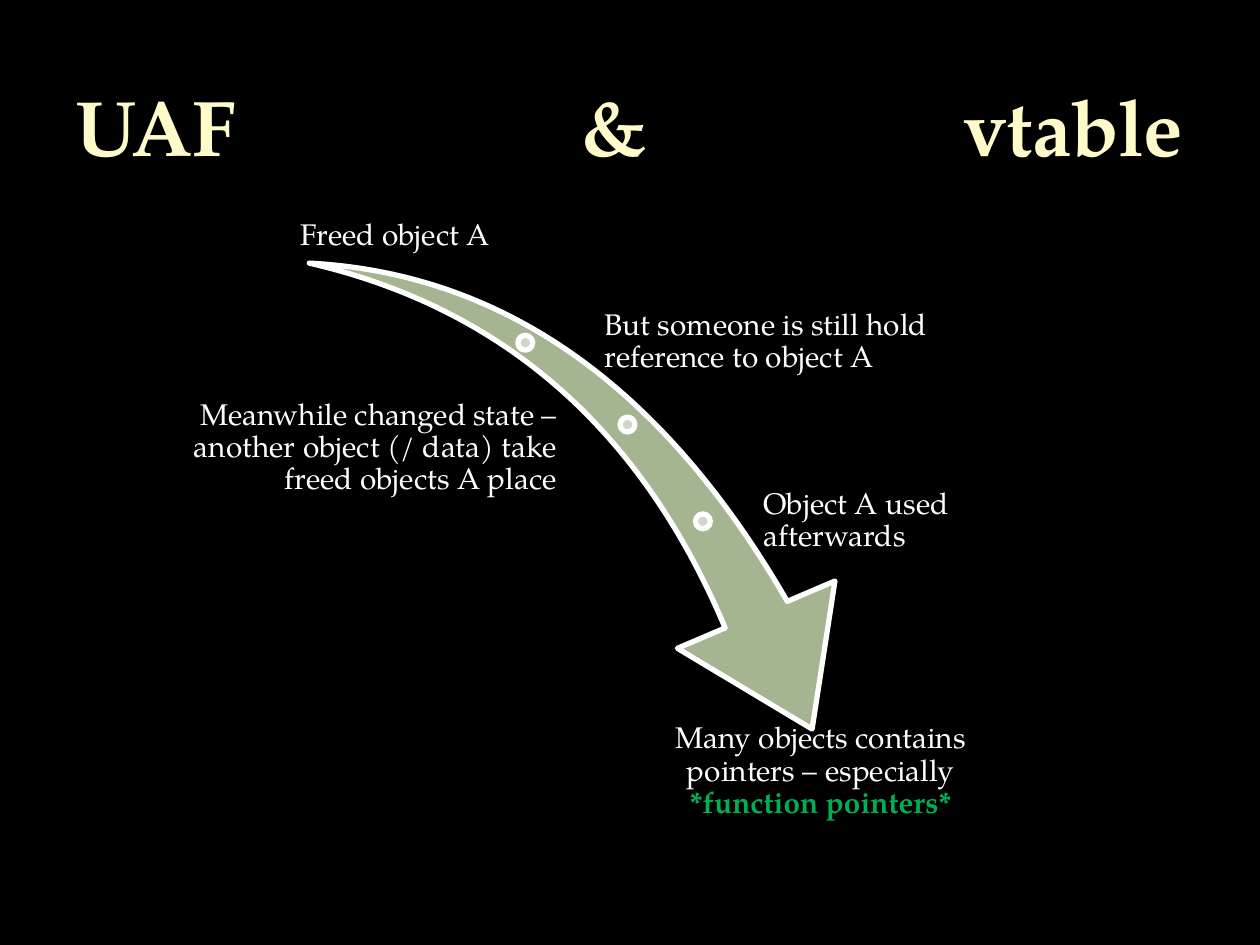
from typing import NamedTuple

from lxml import etree
from pptx import Presentation
from pptx.dml.color import RGBColor
from pptx.enum import shapes, text
from pptx.oxml import ns
from pptx.util import Cm, Pt

FONT = "TeX Gyre Pagella"
BLACK, WHITE, GREEN, CREAM = "000000", "FFFFFF", "00B050", "FEFAC9"
SAGE, PALE_SAGE = "A5B592", "CFD7C7"
LABEL_HEIGHT = 2.21
DOT_SIZE = 0.3
LEFT, CENTER, RIGHT = text.PP_ALIGN.LEFT, text.PP_ALIGN.CENTER, text.PP_ALIGN.RIGHT
TOP, MIDDLE, BOTTOM = (text.MSO_ANCHOR.TOP, text.MSO_ANCHOR.MIDDLE,
                       text.MSO_ANCHOR.BOTTOM)


class Label(NamedTuple):
    left: float
    top: float
    width: float
    align: text.PP_ALIGN
    anchor: text.MSO_ANCHOR
    words: str
    highlight: str = ""


class Dot(NamedTuple):
    left: float
    top: float


LABELS = [
    Label(5.16, 2.92, 5.61, CENTER, BOTTOM, "Freed object A"),
    Label(12.14, 5.79, 8.2, LEFT, MIDDLE,
          "But someone is still hold reference to object A"),
    Label(3.71, 7.92, 7.57, RIGHT, MIDDLE,
          "Meanwhile changed state – another object (/ data) take freed objects A place"),
    Label(15.34, 9.4, 5, LEFT, MIDDLE, "Object A used afterwards"),
    Label(12.75, 14.53, 7.59, CENTER, TOP,
          "Many objects contains pointers – especially ", "*function pointers*"),
]
DOTS = [Dot(10.44, 6.76), Dot(12.5, 8.41), Dot(14.02, 10.36)]


def rgb(value: str) -> RGBColor:
    return RGBColor.from_string(value)


def add_outlined(s, kind, left: float, top: float, width: float, height: float,
                 fill: str):
    """Add a preset shape with the thick white outline."""
    sp = s.shapes.add_shape(kind, Cm(left), Cm(top), Cm(width), Cm(height))
    sp.shadow.inherit = False
    sp.fill.solid()
    sp.fill.fore_color.rgb = rgb(fill)
    sp.line.color.rgb = rgb(WHITE)
    sp.line.width = Pt(3)
    return sp


def add_text_frame(s, left: float, top: float, width: float, height: float,
                   anchor, margins):
    """Add a wrapping text box; margins run left, top, right, bottom."""
    tf = s.shapes.add_textbox(Cm(left), Cm(top), Cm(width), Cm(height)).text_frame
    tf.word_wrap = True
    tf.vertical_anchor = anchor
    (tf.margin_left, tf.margin_top,
     tf.margin_right, tf.margin_bottom) = map(Cm, margins)
    return tf


def set_font(p, size: float, color: str) -> None:
    p.font.name = FONT
    p.font.size = Pt(size)
    p.font.color.rgb = rgb(color)


def add_label(s, label: Label) -> None:
    tf = add_text_frame(s, label.left, label.top, label.width, LABEL_HEIGHT,
                        label.anchor, [0.05] * 4)
    p = tf.paragraphs[0]
    p.alignment = label.align
    p.line_spacing = 0.9
    set_font(p, 17, WHITE)
    p.add_run().text = label.words
    if label.highlight:
        r = p.add_run()
        r.text = label.highlight
        r.font.bold = True
        r.font.color.rgb = rgb(GREEN)


def add_title(s, words: list[str], stops: list[float]) -> None:
    """Spread the words over one line, all but the first at a tab stop."""
    tf = add_text_frame(s, 1.27, 0.43, 22.86, 3.18, BOTTOM, [0.25, 0.25, 0.25, 0.13])
    p = tf.paragraphs[0]
    tabs = etree.SubElement(p._p.get_or_add_pPr(), ns.qn("a:tabLst"))
    for stop in stops:
        etree.SubElement(tabs, ns.qn("a:tab"), pos=str(Cm(stop)), algn="l")
    set_font(p, 45, CREAM)
    p.font.bold = True
    r = p.add_run()
    r.text = "\t".join(words)
    r._r.get_or_add_rPr().set("spc", "-50")


def main() -> None:
    prs = Presentation()
    prs.slide_width, prs.slide_height = Cm(25.4), Cm(19.05)
    s = prs.slides.add_slide(prs.slide_layouts[6])
    s.background.fill.solid()
    s.background.fill.fore_color.rgb = rgb(BLACK)

    arrow = add_outlined(s, shapes.MSO_SHAPE.SWOOSH_ARROW, 5.97, 5.66, 11.91, 8.31, SAGE)
    arrow.rotation = 73.3
    arrow.adjustments[0] = 0.163
    arrow.adjustments[1] = 0.314
    for dot in DOTS:
        add_outlined(s, shapes.MSO_SHAPE.OVAL, dot.left, dot.top,
                     DOT_SIZE, DOT_SIZE, PALE_SAGE)
    for label in LABELS:
        add_label(s, label)
    add_title(s, ["UAF", "&", "vtable"], [10.21, 17.91])
    prs.save("out.pptx")


if __name__ == "__main__":
    main()
